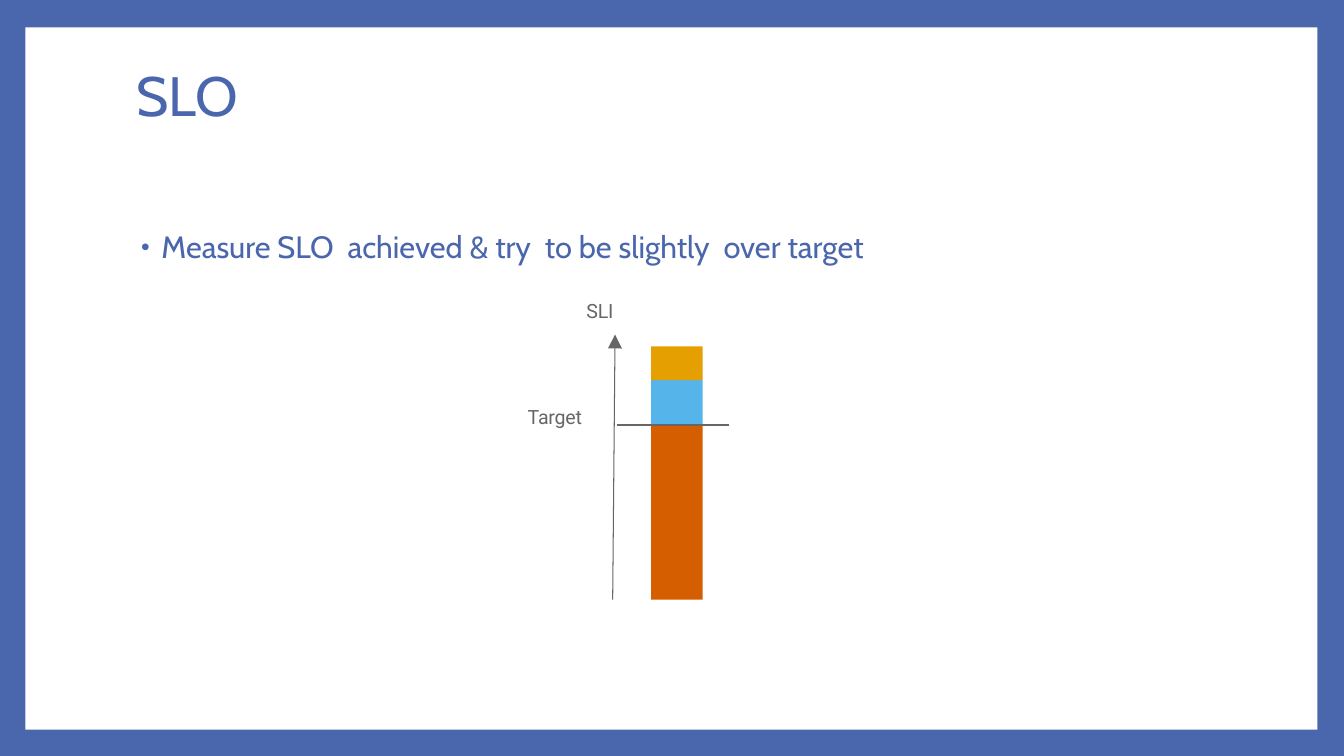
from dataclasses import dataclass

from lxml.etree import SubElement
from pptx import Presentation
from pptx.dml.color import RGBColor
from pptx.enum.shapes import MSO_CONNECTOR, MSO_SHAPE
from pptx.enum.text import MSO_ANCHOR, PP_ALIGN
from pptx.oxml.ns import qn
from pptx.util import Cm, Pt


@dataclass(frozen=True)
class Theme:
    blue: str = "4A66AC"
    white: str = "FFFFFF"
    gray: str = "666666"
    red: str = "D45E00"
    sky: str = "55B4E9"
    gold: str = "E69F00"
    head: str = "Cabin"
    note: str = "Roboto"
    big: float = 39.6
    mid: float = 22
    small: float = 14
    thin: float = 0.75
    bold: float = 1.5


look = Theme()

title = "SLO"
point = "Measure SLO  achieved & try  to be slightly  over target"
labels = [("SLI", 14.78, 7.49, 0.76), ("Target", 13.3, 10.16, 1.47)]
stack = [(4.39, look.red), (1.14, look.sky), (0.85, look.gold)]
panel = (0.64, 0.69, 32.56, 17.7)
base, left, wide = 15.11, 16.41, 1.3
goal = base - stack[0][0]
axis = (15.44, base, 15.5, 8.43)
mark = (15.54, goal, 18.36, goal)


def color(code):
    return RGBColor.from_string(code)


def block(slide, box, fill):
    shape = slide.shapes.add_shape(MSO_SHAPE.RECTANGLE, *map(Cm, box))
    shape.shadow.inherit = False
    shape.fill.solid()
    shape.fill.fore_color.rgb = color(fill)
    shape.line.fill.background()


def rule(slide, ends, width):
    line = slide.shapes.add_connector(MSO_CONNECTOR.STRAIGHT, *map(Cm, ends))
    line.line.color.rgb = color(look.gray)
    line.line.width = Pt(width)
    SubElement(line._element.spPr, qn("a:effectLst"))
    return line


def style(para, face, size, code):
    para.alignment = PP_ALIGN.LEFT
    for run in para.runs:
        run.font.name = face
        run.font.size = Pt(size)
        run.font.color.rgb = color(code)


def write(shape, text, face, size, code):
    para = shape.text_frame.paragraphs[0]
    para.text = text
    style(para, face, size, code)
    return para


def bullet(para):
    props = para._p.get_or_add_pPr()
    props.set("marL", str(Cm(0.64)))
    props.set("indent", str(Cm(-0.51)))
    tint = SubElement(props, qn("a:buClr"))
    SubElement(tint, qn("a:srgbClr"), val=look.blue)
    SubElement(props, qn("a:buSzPct"), val="80000")
    SubElement(props, qn("a:buFont"), typeface="Arial")
    SubElement(props, qn("a:buChar"), char="•")


def heading(slide):
    shape = slide.shapes.title
    shape.left, shape.top = Cm(3.18), Cm(1.7)
    shape.width, shape.height = Cm(27.43), Cm(1.55)
    shape.text_frame.vertical_anchor = MSO_ANCHOR.MIDDLE
    write(shape, title, look.head, look.big, look.blue).line_spacing = 0.9


def body(slide):
    box = slide.shapes.add_textbox(Cm(3.18), Cm(5.72), Cm(27.43), Cm(11.23))
    box.text_frame.word_wrap = True
    para = write(box, point, look.head, look.mid, look.blue)
    bullet(para)
    para.line_spacing = 0.9


def chart(slide):
    line = rule(slide, axis, look.thin)
    edge = line.line._get_or_add_ln()
    SubElement(edge, qn("a:tailEnd"), type="triangle", w="lg", len="lg")
    top = base
    for tall, fill in stack:
        top -= tall
        block(slide, (left, top, wide, tall), fill)
    rule(slide, mark, look.bold)
    for text, x, y, width in labels:
        box = slide.shapes.add_textbox(Cm(x), Cm(y), Cm(width), Cm(0.66))
        frame = box.text_frame
        frame.word_wrap = False
        frame.margin_left = frame.margin_right = frame.margin_bottom = 0
        frame.margin_top = Cm(0.05)
        para = write(box, text, look.note, look.small, look.gray)
        para.runs[0]._r.get_or_add_rPr().set("spc", "-20")


def main():
    deck = Presentation()
    deck.slide_width, deck.slide_height = Cm(33.87), Cm(19.05)
    slide = deck.slides.add_slide(deck.slide_layouts[5])
    slide.background.fill.solid()
    slide.background.fill.fore_color.rgb = color(look.blue)
    block(slide, panel, look.white)
    heading(slide)
    body(slide)
    chart(slide)
    tree = slide.shapes._spTree
    tree.remove(name := slide.shapes.title._element)
    tree.insert(3, name)
    deck.save("out.pptx")


if __name__ == "__main__":
    main()
